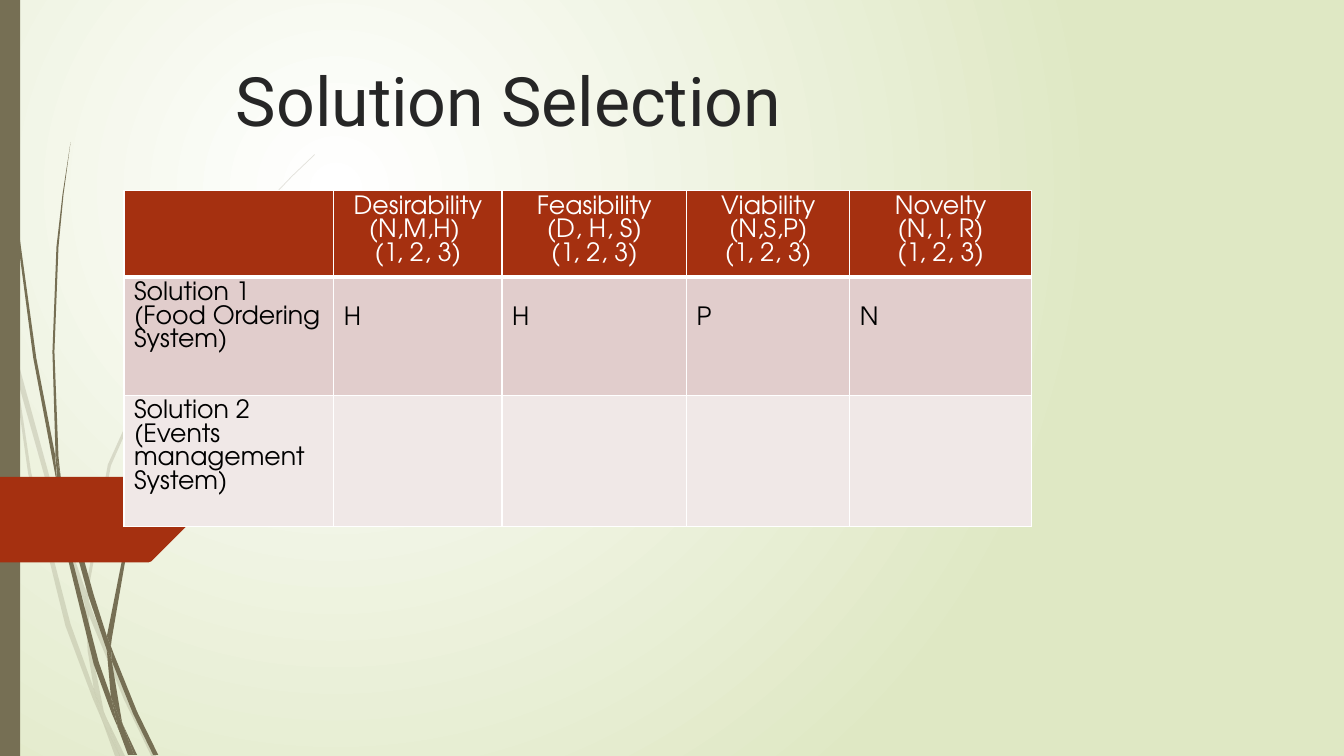
"""Build the Solution Selection slide with its scoring table."""
from dataclasses import dataclass

from lxml.etree import SubElement
from pptx import Presentation
from pptx.dml.color import RGBColor
from pptx.enum.shapes import MSO_SHAPE
from pptx.enum.text import MSO_ANCHOR, MSO_AUTO_SIZE, PP_ALIGN
from pptx.oxml import parse_xml
from pptx.oxml.ns import nsdecls, qn
from pptx.util import Inches, Pt


@dataclass(frozen=True)
class Theme:
    paper: str = "FFFFFF"
    paper_edge: str = "DFE8C4"
    stem: str = "766F54"
    accent: str = "A53010"
    bands: tuple = ("E1CDCC", "F0E8E7")
    title_ink: str = "262626"
    ink: str = "000000"
    title_font: str = "Roboto"
    table_font: str = "TeX Gyre Adventor"
    title_size: float = 48.6
    table_size: float = 18


THEME = Theme()
TITLE = "Solution Selection"
CRITERIA = [
    (),
    ("Desirability", "(N,M,H) ", "(1, 2, 3)"),
    ("Feasibility", "(D, H, S)", "(1, 2, 3)"),
    ("Viability", "(N,S,P)", "(1, 2, 3)"),
    ("Novelty", "(N, I, R)", "(1, 2, 3)"),
]
SOLUTIONS = [
    [("Solution 1", "(Food Ordering System)"), ("H",), ("H",), ("P",), ("N",)],
    [("Solution 2", "(Events management System)"), (), (), (), ()],
]
COLUMN_WIDTHS = [2.08, 1.67, 1.83, 1.62, 1.8]
ROW_HEIGHTS = [0.86, 1.17, 1.3]

# Outline points are hundredths of an inch.
PALE_STEMS = [
    [(11, 350), (9, 322), (0, 282), (0, 299), (10, 344)],
    [(58, 522), (84, 599), (85, 586), (62, 520), (14, 345), (17, 376)],
    [(92, 607), (88, 596), (88, 610), (123, 694), (150, 750), (155, 750), (127, 692)],
    [(119, 750), (124, 750), (105, 711)],
    [(93, 683), (70, 619), (31, 469), (17, 376), (11, 350), (28, 470), (65, 621),
     (92, 693), (101, 714), (99, 707)],
    [(84, 599), (87, 646), (93, 683), (96, 692), (105, 711), (103, 706), (91, 646),
     (88, 610), (88, 608)],
    [(88, 584), (110, 462), (160, 349), (229, 245), (268, 198), (290, 175), (312, 154),
     (312, 153), (289, 175), (268, 197), (228, 244), (158, 348), (107, 461), (85, 584),
     (85, 586), (88, 596)],
    [(101, 714), (114, 750), (119, 750)],
    [(88, 608), (88, 610), (88, 596), (85, 586), (84, 599)],
    [(96, 692), (93, 683), (99, 707), (101, 714), (119, 750), (105, 711)],
]
DARK_STEMS = [
    [(7, 110), (17, 233), (33, 355), (56, 477), (57, 481), (55, 457), (55, 453),
     (36, 355), (19, 232), (8, 109), (5, 48), (4, 0), (3, 0), (4, 48)],
    [(88, 592), (106, 645), (106, 633), (106, 631), (93, 590), (60, 472), (64, 505)],
    [(113, 649), (110, 641), (111, 656), (132, 708), (152, 749), (157, 749), (136, 706)],
    [(110, 691), (98, 657), (72, 556), (64, 505), (57, 477), (68, 557), (93, 659),
     (111, 708), (117, 722), (116, 717)],
    [(60, 472), (58, 453), (54, 349), (58, 245), (63, 193), (70, 141), (62, 193),
     (56, 245), (52, 349), (55, 449)],
    [(133, 749), (136, 749), (122, 719)],
    [(57, 477), (64, 505), (60, 472), (55, 449), (55, 453)],
    [(111, 633), (125, 552), (158, 476), (205, 406), (231, 374), (245, 359), (261, 344),
     (260, 344), (245, 358), (231, 373), (204, 405), (156, 474), (122, 551), (106, 631),
     (110, 641)],
    [(117, 722), (127, 749), (131, 749)],
    [(106, 645), (110, 691), (116, 706), (122, 719), (121, 716), (111, 656), (109, 651)],
    [(106, 645), (109, 651), (111, 656), (110, 641), (106, 631), (106, 633)],
    [(116, 706), (110, 691), (116, 717), (117, 722), (130, 749), (133, 749), (122, 719)],
]
RIBBON = [(147, 558), (150, 557), (151, 556), (190, 517), (190, 513), (151, 474),
          (150, 474), (147, 473), (0, 473), (0, 558)]


def paint(shape, color, opacity=100):
    shape.shadow.inherit = False
    shape.line.fill.background()
    shape.fill.solid()
    shape.fill.fore_color.rgb = RGBColor.from_string(color)
    if opacity < 100:
        tint = shape.fill._xPr.find(qn("a:solidFill"))[0]
        SubElement(tint, qn("a:alpha"), val=str(opacity * 1000))


def add_outline(slide, points, color, opacity=100):
    builder = slide.shapes.build_freeform(*points[0], scale=Inches(0.01))
    builder.add_line_segments(points[1:], close=True)
    paint(builder.convert_to_shape(), color, opacity)


def add_backdrop(slide):
    fill = slide.background.fill
    fill.gradient()
    for stop, color in zip(fill.gradient_stops, (THEME.paper, THEME.paper_edge)):
        stop.color.rgb = RGBColor.from_string(color)
    gradient = slide.element.xpath(".//p:bgPr/a:gradFill")[0]
    glow = parse_xml(
        f'<a:path {nsdecls("a")} path="circle">'
        '<a:fillToRect l="50000" t="50000" r="100000" b="100000"/></a:path>'
    )
    gradient.replace(gradient.find(qn("a:lin")), glow)


def add_decoration(slide):
    for points in PALE_STEMS:
        add_outline(slide, points, THEME.stem, 20)
    for points in DARK_STEMS:
        add_outline(slide, points, THEME.stem)
    edge = slide.shapes.add_shape(MSO_SHAPE.RECTANGLE, 0, 0, Inches(0.2), Inches(7.5))
    paint(edge, THEME.stem)
    add_outline(slide, RIBBON, THEME.accent)


def write(paragraph, text, font, size, color):
    run = paragraph.add_run()
    run.text = text
    run.font.name, run.font.size, run.font.bold = font, Pt(size), False
    run.font.color.rgb = RGBColor.from_string(color)


def add_title(slide):
    title = slide.shapes.title
    title.left, title.top, title.width, title.height = map(Inches, (2.24, 0.56, 6.97, 0.88))
    frame = title.text_frame
    frame.word_wrap, frame.auto_size = True, MSO_AUTO_SIZE.NONE
    frame.vertical_anchor = MSO_ANCHOR.BOTTOM
    frame.paragraphs[0].alignment = PP_ALIGN.LEFT
    write(frame.paragraphs[0], TITLE, THEME.title_font, THEME.title_size, THEME.title_ink)


def add_borders(cell, bottom):
    properties = cell._tc.get_or_add_tcPr()
    for position, (side, width) in enumerate((("L", 1), ("R", 1), ("T", 1), ("B", bottom))):
        properties.insert(position, parse_xml(
            f'<a:ln{side} {nsdecls("a")} w="{Pt(width)}"><a:solidFill>'
            f'<a:srgbClr val="{THEME.paper}"/></a:solidFill></a:ln{side}>'
        ))


def fill_cell(cell, lines, background, ink, alignment):
    cell.fill.solid()
    cell.fill.fore_color.rgb = RGBColor.from_string(background)
    cell.margin_left = cell.margin_right = Inches(0.1)
    cell.margin_top = Inches(0.29 if len(lines) == 1 else 0.05)
    cell.margin_bottom = Inches(0.05)
    frame = cell.text_frame
    for index, text in enumerate(lines):
        paragraph = frame.add_paragraph() if index else frame.paragraphs[0]
        paragraph.alignment = alignment
        write(paragraph, text, THEME.table_font, THEME.table_size, ink)


def add_scores(slide):
    rows = [CRITERIA, *SOLUTIONS]
    scores = slide.shapes.add_table(
        len(rows), len(CRITERIA), Inches(1.23), Inches(1.89),
        Inches(sum(COLUMN_WIDTHS)), Inches(sum(ROW_HEIGHTS)),
    ).table
    scores.horz_banding = False
    for column, width in zip(scores.columns, COLUMN_WIDTHS):
        column.width = Inches(width)
    for r, (row, height) in enumerate(zip(rows, ROW_HEIGHTS)):
        scores.rows[r].height = Inches(height)
        background = THEME.bands[r - 1] if r else THEME.accent
        ink = THEME.ink if r else THEME.paper
        alignment = PP_ALIGN.LEFT if r else PP_ALIGN.CENTER
        for c, lines in enumerate(row):
            fill_cell(scores.cell(r, c), lines, background, ink, alignment)
            add_borders(scores.cell(r, c), 1 if r else 3)


def main():
    deck = Presentation()
    deck.slide_width, deck.slide_height = Inches(13.33), Inches(7.5)
    slide = deck.slides.add_slide(deck.slide_layouts[5])
    add_backdrop(slide)
    add_decoration(slide)
    add_title(slide)
    add_scores(slide)
    deck.save("out.pptx")


if __name__ == "__main__":
    main()
